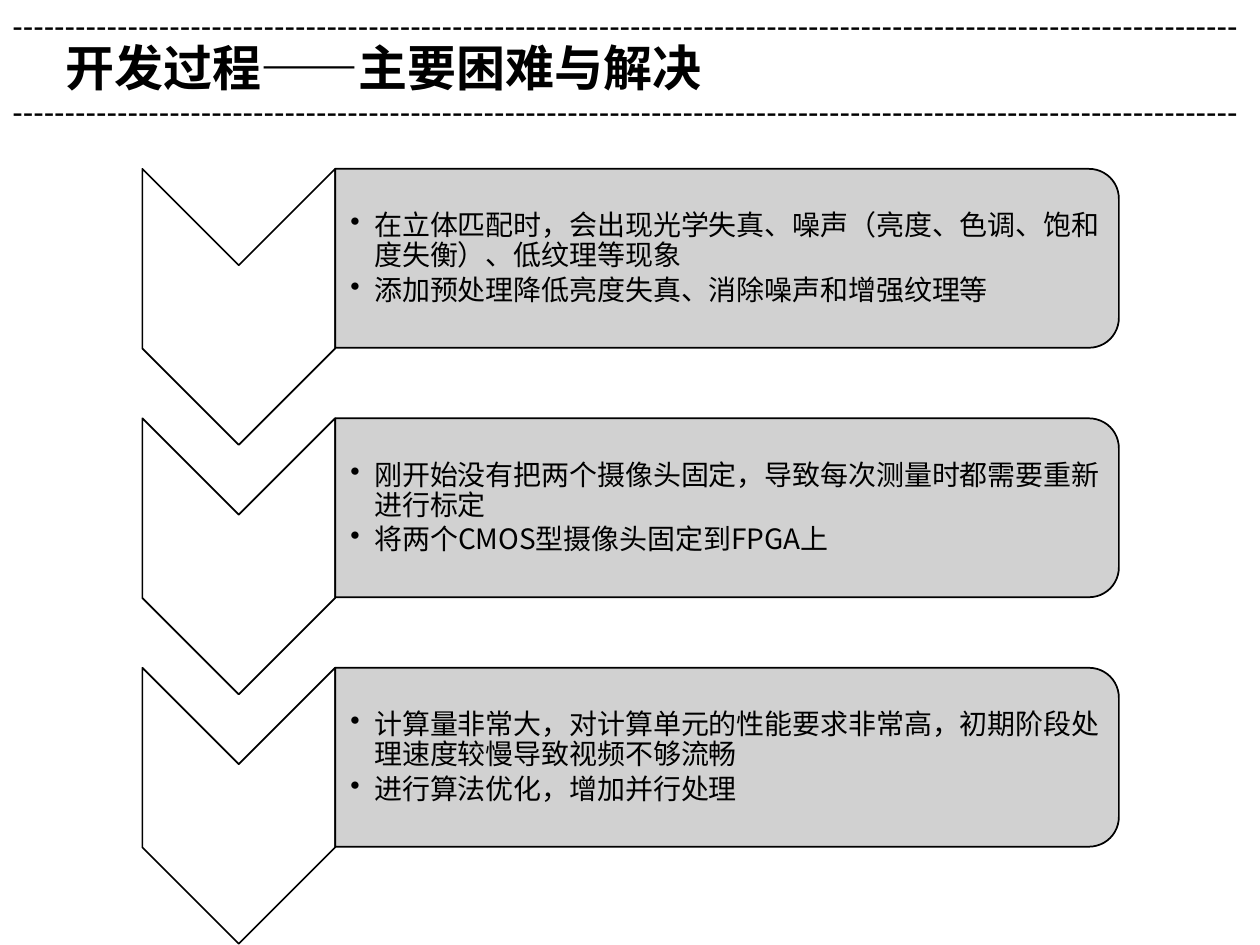
import pptx
import pptx.util
import pptx.oxml.ns
import pptx.dml.color
import pptx.enum.shapes
import pptx.enum.text
from lxml import etree

INK = {"black": "000000", "white": "FFFFFF", "gray": "CCCCCC"}
WIDE, HIGH = 10, 7.5
TOP, STEP = 2.05, 1.98
LEFT, EDGE, RIGHT = 1.13, 2.66, 8.88
BAND = 1.42
DROP = 2.19
KIND = pptx.enum.shapes.MSO_SHAPE
INCH = pptx.util.Inches
STEPS = [
    ["在立体匹配时，会出现光学失真、噪声（亮度、色调、饱和度失衡）、低纹理等现象",
     "添加预处理降低亮度失真、消除噪声和增强纹理等"],
    ["刚开始没有把两个摄像头固定，导致每次测量时都需要重新进行标定",
     "将两个CMOS型摄像头固定到FPGA上"],
    ["计算量非常大，对计算单元的性能要求非常高，初期阶段处理速度较慢导致视频不够流畅",
     "进行算法优化，增加并行处理"],
]


def tint(name):
    return pptx.dml.color.RGBColor.from_string(INK[name])


def add(parent, tag, **attrs):
    return etree.SubElement(parent, pptx.oxml.ns.qn(tag), **attrs)


def style(para, size, face, bold=False):
    font = para.font
    font.size = pptx.util.Pt(size)
    font.name = face
    font.bold = bold
    font.color.rgb = tint("black")
    for run in para.runs:
        add(run._r.get_or_add_rPr(), "a:ea", typeface="Noto Sans CJK SC")


def label(slide, box, text, size, bold=False):
    frame = slide.shapes.add_textbox(*map(INCH, box)).text_frame
    frame.word_wrap = True
    para = frame.paragraphs[0]
    para.text = text
    style(para, size, "Arial", bold)


def turned(slide, kind, mid, span, fill, alpha=None):
    wide, high = span
    shape = slide.shapes.add_shape(
        kind, INCH(mid[0] - high / 2), INCH(mid[1] - wide / 2),
        INCH(high), INCH(wide))
    shape.rotation = 90
    shape.shadow.inherit = False
    shape.fill.solid()
    shape.fill.fore_color.rgb = tint(fill)
    shape.line.color.rgb = tint("black")
    shape.line.width = pptx.util.Pt(1)
    if alpha:
        paint = shape._element.spPr.find(".//" + pptx.oxml.ns.qn("a:srgbClr"))
        add(paint, "a:alpha", val=str(alpha * 1000))


def points(slide, box, lines):
    frame = slide.shapes.add_textbox(*map(INCH, box)).text_frame
    frame.word_wrap = True
    frame.vertical_anchor = pptx.enum.text.MSO_ANCHOR.MIDDLE
    frame.margin_left = INCH(0.12)
    frame.margin_right = frame.margin_top = frame.margin_bottom = INCH(0.01)
    frame.text = "\n".join(lines)
    for para in frame.paragraphs:
        para.line_spacing = 0.9
        para.space_after = pptx.util.Pt(2.4)
        props = para._p.get_or_add_pPr()
        props.set("marL", str(INCH(0.19)))
        props.set("indent", str(INCH(-0.19)))
        add(props, "a:buChar", char="•")
        style(para, 16, "Noto Sans CJK SC")


def stage(slide, row, lines):
    mid = TOP + row * STEP
    notch = EDGE - LEFT
    turned(slide, KIND.CHEVRON, ((LEFT + EDGE) / 2, mid - BAND / 2 + DROP / 2),
           (notch, DROP), "white")
    turned(slide, KIND.ROUND_2_SAME_RECTANGLE, ((EDGE + RIGHT) / 2, mid),
           (RIGHT - EDGE, BAND), "gray", 90)
    points(slide, (EDGE, mid - 0.64, 6.15, 1.29), lines)


def main():
    deck = pptx.Presentation()
    deck.slide_width, deck.slide_height = INCH(WIDE), INCH(HIGH)
    slide = deck.slides.add_slide(deck.slide_layouts[6])
    label(slide, (0.42, 0.25, 7.83, 0.57), "开发过程——主要困难与解决", 28, True)
    for top in (0, 0.68):
        label(slide, (0, top, WIDE, 0.4), "-" * 117, 18)
    for row, lines in enumerate(STEPS):
        stage(slide, row, lines)
    deck.save("out.pptx")


if __name__ == "__main__":
    main()
